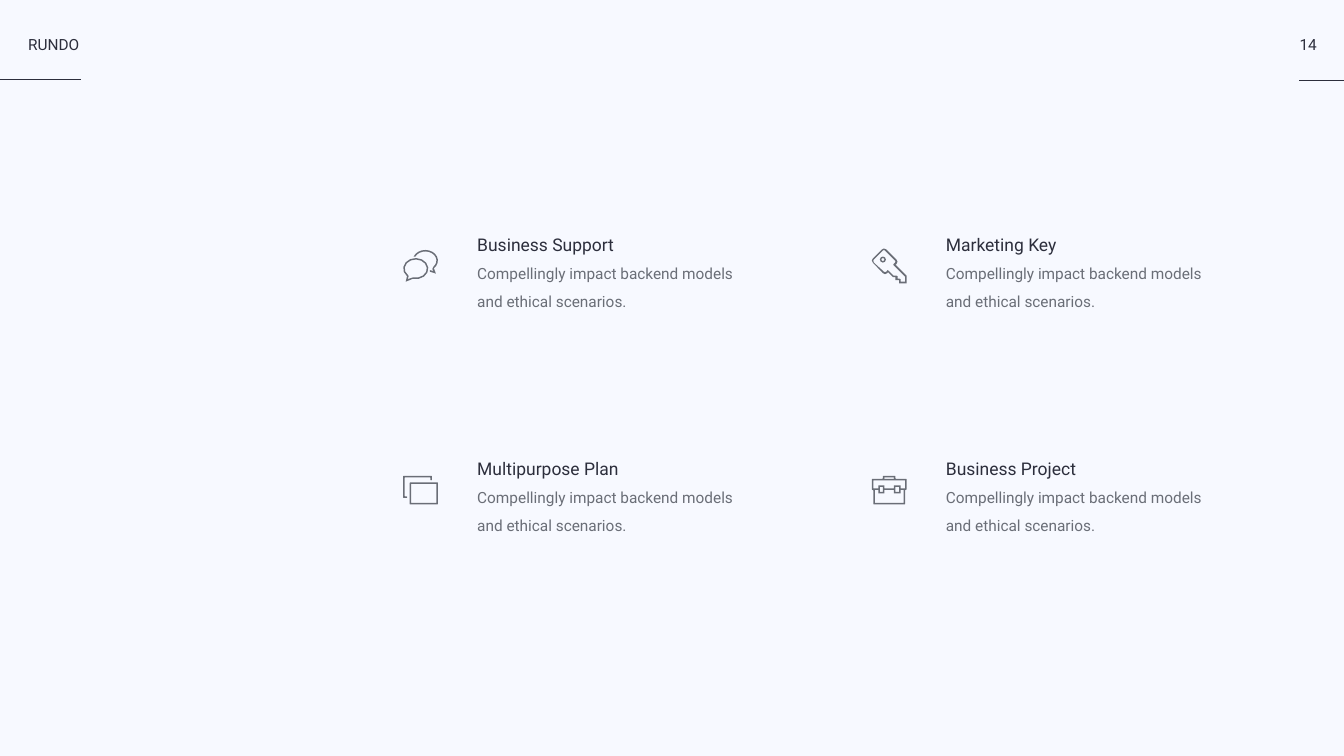
from dataclasses import dataclass
from math import cos, hypot, radians, sin

from lxml import etree
from pptx import Presentation
from pptx import util as u
from pptx.dml.color import RGBColor
from pptx.enum import shapes, text
from pptx.oxml.ns import qn

PX = 9144  # EMU per px: 100 px to the inch
WIDE, HIGH = 2667, 1500
FONT = "Roboto"
PALE = RGBColor(0xF7, 0xF9, 0xFF)
DARK = RGBColor(0x2C, 0x2E, 0x3C)
GREY = RGBColor(0x6A, 0x6E, 0x77)

Point = tuple[float, float]
Path = list[Point]


@dataclass
class Card:
    title: str
    col: int
    row: int
    icon: list[Path]
    top: int  # icon offset from the top of the card


# Outline helpers, in px from the icon's corner
def arc(mid: Point, rx: int, ry: int, start: int, end: int,
        steps: int = 12) -> Path:
    turns = [radians(start + (end - start) * i / steps) for i in range(steps + 1)]
    return [(mid[0] + rx * cos(a), mid[1] + ry * sin(a)) for a in turns]


def oval(mid: Point, r: int) -> Path:
    return arc(mid, r, r, 0, 360, 8)[:-1]


def soft(pts: Path, r: int = 1) -> Path:
    """Polygon with each corner cut by r."""
    out: Path = []
    for i, (x, y) in enumerate(pts):
        for nx, ny in (pts[i - 1], pts[(i + 1) % len(pts)]):
            part = r / hypot(nx - x, ny - y)
            out.append((x + (nx - x) * part, y + (ny - y) * part))
    return out


def box(left: int, top: int, right: int, low: int) -> Path:
    return [(left, top), (right, top), (right, low), (left, low)]


# Icons
FRONT, BACK = (25, 37), (44, 21)
CHAT = [
    arc(FRONT, 25, 21, 104, -226) + [(5, 63)],
    arc(FRONT, 22, 18, 104, -226) + [(11, 52), (9, 58)],
    arc(BACK, 25, 21, 202, 407)
    + [(65, 47), (53, 43), (53, 40), (60, 42), (58, 38)]
    + arc(BACK, 22, 18, 405, 206),
]
KEY = [
    [(20, 2), (24, 0), (29, 2), (49, 22), (51, 26), (49, 31), (47, 32),
     (69, 54), (69, 69), (54, 69), (54, 63), (47, 63), (47, 57), (42, 57),
     (32, 47), (31, 49), (26, 51), (22, 49), (2, 28), (0, 24), (2, 20)],
    [(22, 4), (24, 3), (26, 4), (46, 24), (47, 26), (46, 28), (43, 31),
     (43, 33), (66, 56), (66, 66), (57, 66), (57, 61), (55, 60), (51, 60),
     (51, 55), (49, 54), (43, 54), (33, 44), (31, 43), (29, 46), (26, 47),
     (24, 46), (4, 28), (3, 24), (4, 22)],
    oval((22, 22), 6),
    oval((22, 22), 3),
]
PAGES = [
    soft([(8, 41), (3, 41), (3, 3), (54, 3), (54, 9), (57, 9), (57, 0),
          (0, 0), (0, 44), (8, 44)]),
    soft(box(13, 13, 69, 57)),
    box(16, 16, 66, 54),
]
CASE = [
    soft([(22, 6), (22, 0), (47, 0), (47, 6), (69, 6), (69, 28), (66, 28),
          (66, 57), (3, 57), (3, 28), (0, 28), (0, 6)]),
    box(25, 3, 44, 6),
    [(3, 9), (66, 9), (66, 25), (57, 25), (57, 19), (44, 19), (44, 25),
     (25, 25), (25, 19), (13, 19), (13, 25), (3, 25)],
    [(6, 28), (13, 28), (13, 35), (25, 35), (25, 28), (44, 28), (44, 35),
     (57, 35), (57, 28), (63, 28), (63, 54), (6, 54)],
    box(16, 22, 22, 32),
    box(47, 22, 54, 32),
]

CARDS = [
    Card("Multipurpose Plan", 0, 1, PAGES, 56),
    Card("Business Project", 1, 1, CASE, 56),
    Card("Marketing Key", 1, 0, KEY, 50),
    Card("Business Support", 0, 0, CHAT, 53),
]
LINES = ["Compellingly impact backend models", "and ethical scenarios."]
LEFT, TOP, COL, ROW, INSET = 800, 443, 930, 445, 147


def add_text(slide, at: tuple[int, int, int, int], rows: list[tuple],
             space: float = 1, align=text.PP_ALIGN.LEFT) -> None:
    """Rows hold wording, point size and colour."""
    frame = slide.shapes.add_textbox(*(n * PX for n in at)).text_frame
    frame.margin_left = frame.margin_right = 0
    frame.margin_top = frame.margin_bottom = 0
    frame.word_wrap = False
    frame.auto_size = text.MSO_AUTO_SIZE.SHAPE_TO_FIT_TEXT
    for i, (words, size, tone) in enumerate(rows):
        para = frame.add_paragraph() if i else frame.paragraphs[0]
        para.line_spacing = space
        para.alignment = align
        run = para.add_run()
        run.text = words
        run.font.name = FONT
        run.font.size = u.Pt(size)
        run.font.color.rgb = tone


def add_rule(slide, left: int, right: int, y: int) -> None:
    rule = slide.shapes.add_connector(
        shapes.MSO_CONNECTOR.STRAIGHT, left * PX, y * PX, right * PX, y * PX)
    rule.line.color.rgb = DARK
    rule.line.width = u.Pt(2)
    etree.SubElement(rule._element.spPr, qn("a:effectLst"))


def add_icon(slide, left: int, top: int, paths: list[Path]) -> None:
    pen = None
    for path in paths:
        pts = [(x * PX, y * PX) for x, y in path]
        if pen is None:
            pen = slide.shapes.build_freeform(*pts[0])
        else:
            pen.move_to(*pts[0])
        pen.add_line_segments(pts[1:], close=True)
    icon = pen.convert_to_shape(left * PX, top * PX)
    icon.shadow.inherit = False
    icon.fill.solid()
    icon.fill.fore_color.rgb = GREY
    icon.line.fill.background()


def add_card(slide, card: Card) -> None:
    left, top = LEFT + card.col * COL, TOP + card.row * ROW
    add_icon(slide, left, top + card.top, card.icon)
    rows = [(card.title, 25, DARK)] + [(words, 22, GREY) for words in LINES]
    add_text(slide, (left + INSET, top, 511, 169), rows, 1.5)


def main() -> None:
    deck = Presentation()
    deck.slide_width, deck.slide_height = WIDE * PX, HIGH * PX
    slide = deck.slides.add_slide(deck.slide_layouts[6])
    slide.background.fill.solid()
    slide.background.fill.fore_color.rgb = PALE

    # Header: name on the left, page number on the right
    add_rule(slide, 0, 161, 158)
    add_text(slide, (56, 69, 105, 40), [("RUNDO", 22, DARK)])
    add_rule(slide, 2578, WIDE, 160)
    add_text(slide, (2578, 69, 36, 40), [("14", 22, DARK)],
             align=text.PP_ALIGN.CENTER)

    # Grid of services
    for card in CARDS:
        add_card(slide, card)

    deck.save("out.pptx")


if __name__ == "__main__":
    main()
